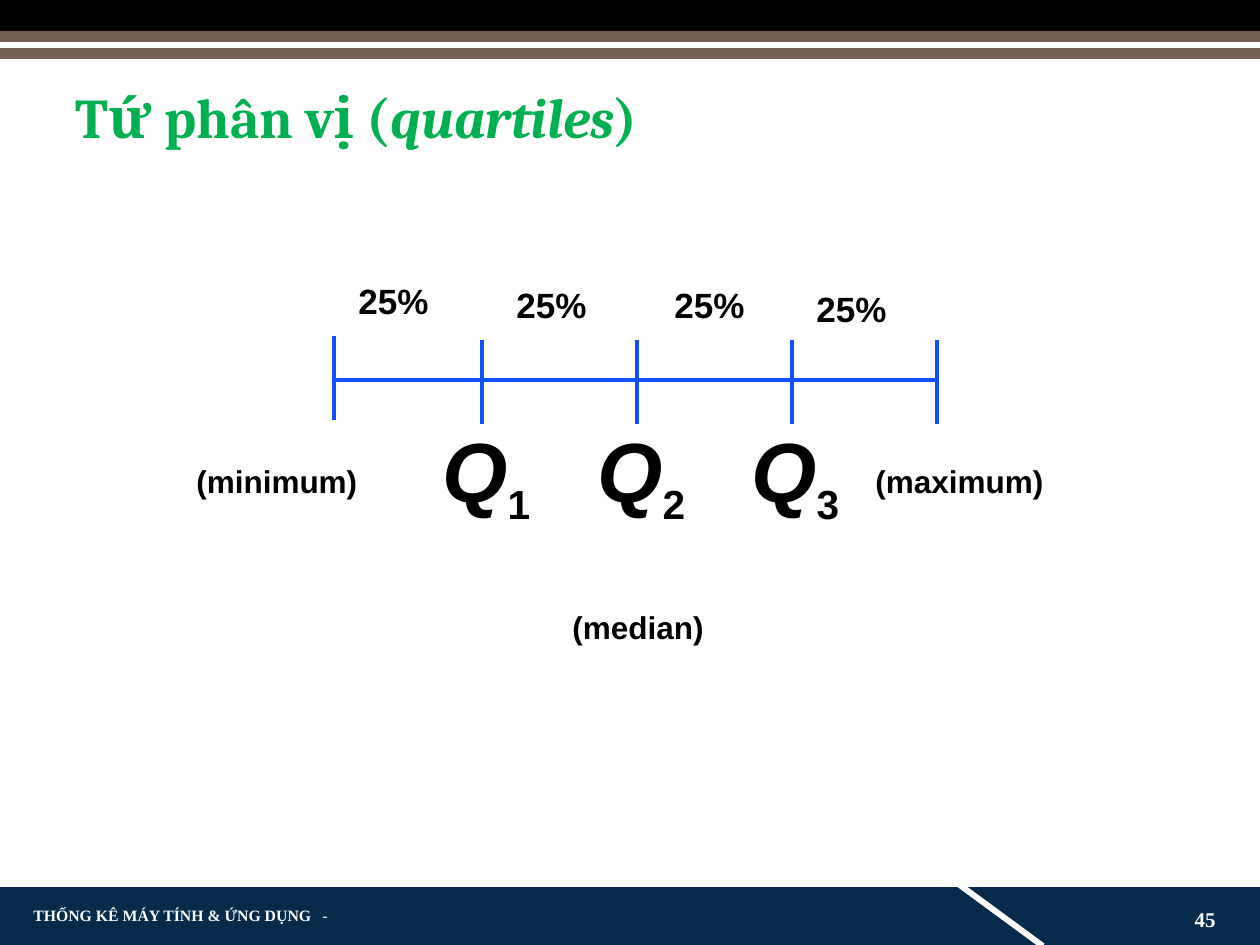
from dataclasses import dataclass

from lxml import etree
from pptx import Presentation
from pptx.dml.color import RGBColor
from pptx.enum.shapes import MSO_CONNECTOR, MSO_SHAPE
from pptx.enum.text import MSO_ANCHOR, MSO_AUTO_SIZE, PP_ALIGN
from pptx.oxml.ns import qn
from pptx.util import Emu, Pt

RECTANGLE = MSO_SHAPE.RECTANGLE
STRAIGHT = MSO_CONNECTOR.STRAIGHT
TOP, MIDDLE = MSO_ANCHOR.TOP, MSO_ANCHOR.MIDDLE
LEFT, RIGHT = PP_ALIGN.LEFT, PP_ALIGN.RIGHT
NO_AUTOFIT = MSO_AUTO_SIZE.NONE
PX_PER_INCH = 126


@dataclass(frozen=True)
class Theme:
    black: str = "000000"
    white: str = "FFFFFF"
    brown: str = "775F55"
    navy: str = "052A4B"
    green: str = "00B050"
    blue: str = "114FFB"
    heading: str = "Cambria"
    body: str = "Arial"
    footer: str = "Times New Roman"
    title_size: int = 32
    quartile_size: int = 48
    subscript_size: int = 40
    percent_size: int = 20
    caption_size: int = 18
    number_size: int = 12
    footer_size: int = 9
    line_width: int = 2


@dataclass(frozen=True)
class Frame:
    left: int
    top: int
    width: int
    height: int


@dataclass(frozen=True)
class Band:
    frame: Frame
    color: str
    rotation: float = 0


@dataclass(frozen=True)
class Label:
    text: str
    frame: Frame


THEME = Theme()
BANDS = (
    Band(Frame(0, 887, 1260, 58), THEME.navy),
    Band(Frame(948, 912, 105, 6), THEME.white, 36.3),
    Band(Frame(0, 0, 1260, 31), THEME.black),
    Band(Frame(0, 31, 1260, 28), THEME.brown),
    Band(Frame(0, 42, 1260, 6), THEME.white),
)
AXIS_Y = 380
TICK_HEIGHT = 84
TICKS = ((334, 336), (482, 340), (637, 340), (792, 340), (937, 340))
PERCENT_CORNERS = ((346, 273), (504, 277), (662, 277), (804, 281))
QUARTILE_LEFTS = (430, 585, 739)
CAPTIONS = (
    Label("(minimum)", Frame(184, 460, 231, 77)),
    Label("(maximum)", Frame(863, 460, 239, 77)),
    Label("(median)", Frame(560, 606, 194, 77)),
)


def px(length: int) -> Emu:
    return Emu(round(length * 914400 / PX_PER_INCH))


def place(shape, frame: Frame) -> None:
    shape.left, shape.top = px(frame.left), px(frame.top)
    shape.width, shape.height = px(frame.width), px(frame.height)


def draw_band(page, band: Band) -> None:
    shape = page.shapes.add_shape(RECTANGLE, 0, 0, 0, 0)
    place(shape, band.frame)
    shape.shadow.inherit = False
    shape.fill.solid()
    shape.fill.fore_color.rgb = RGBColor.from_string(band.color)
    shape.line.fill.background()
    shape.rotation = band.rotation


def draw_line(page, start: tuple[int, int], end: tuple[int, int]) -> None:
    line = page.shapes.add_connector(STRAIGHT, *map(px, start + end))
    line.line.color.rgb = RGBColor.from_string(THEME.blue)
    line.line.width = Pt(THEME.line_width)
    etree.SubElement(line._element.spPr, qn("a:effectLst"))


def add_span(para, text: str, *, size: int, font: str = THEME.body,
             color: str = THEME.black, bold: bool = True,
             italic: bool = False, baseline: int = 0) -> None:
    span = para.add_run()
    span.text = text
    span.font.size = Pt(size)
    span.font.name = font
    span.font.color.rgb = RGBColor.from_string(color)
    span.font.bold = bold
    span.font.italic = italic
    if baseline:
        span._r.get_or_add_rPr().set("baseline", str(baseline * 1000))


def start_text(box, frame: Frame, *, anchor=TOP, align=LEFT,
               line_spacing: float = 1.0, space_before: int = 0):
    place(box, frame)
    box.text_frame.word_wrap = True
    box.text_frame.auto_size = NO_AUTOFIT
    box.text_frame.vertical_anchor = anchor
    para = box.text_frame.paragraphs[0]
    para.alignment = align
    para.line_spacing = line_spacing
    para.space_before = Pt(space_before)
    return para


def add_box(page, frame: Frame, **layout):
    return start_text(page.shapes.add_textbox(0, 0, 0, 0), frame, **layout)


def add_tab_stop(para, position: int) -> None:
    stops = etree.SubElement(para._p.get_or_add_pPr(), qn("a:tabLst"))
    etree.SubElement(stops, qn("a:tab"), pos=str(px(position)), algn="l")


def draw_title(page) -> None:
    para = start_text(page.shapes.title, Frame(63, 84, 1140, 129), line_spacing=0.9)
    for text, italic in (("Tứ phân vị (", False), ("quartiles", True), (")", False)):
        add_span(para, text, size=THEME.title_size, font=THEME.heading,
                 color=THEME.green, italic=italic)


def draw_footer(page) -> None:
    para = add_box(page, Frame(21, 903, 325, 25), anchor=MIDDLE)
    add_tab_stop(para, 289)
    for text, bold in (("THỐNG KÊ MÁY TÍNH & ỨNG DỤNG\t", True), ("-", False)):
        add_span(para, text, size=THEME.footer_size, font=THEME.footer,
                 color=THEME.white, bold=bold)
    para = add_box(page, Frame(1131, 903, 97, 32), anchor=MIDDLE, align=RIGHT)
    add_span(para, "45", size=THEME.number_size, font=THEME.footer, color=THEME.white)


def draw_scale(page) -> None:
    draw_line(page, (TICKS[0][0] + 2, AXIS_Y), (TICKS[-1][0] - 2, AXIS_Y))
    for left, top in TICKS:
        draw_line(page, (left, top), (left, top + TICK_HEIGHT))
    for left, top in PERCENT_CORNERS:
        para = add_box(page, Frame(left, top, 117, 89))
        add_span(para, "25%", size=THEME.percent_size)
    for number, left in enumerate(QUARTILE_LEFTS, start=1):
        para = add_box(page, Frame(left, 412, 144, 184), space_before=5)
        add_span(para, "Q", size=THEME.quartile_size, italic=True)
        add_span(para, str(number), size=THEME.subscript_size, baseline=-25)
    for caption in CAPTIONS:
        para = add_box(page, caption.frame, line_spacing=0.9)
        add_span(para, caption.text, size=THEME.caption_size)


def main() -> None:
    deck = Presentation()
    deck.slide_width, deck.slide_height = px(1260), px(945)
    page = deck.slides.add_slide(deck.slide_layouts[5])
    for band in BANDS:
        draw_band(page, band)
    draw_title(page)
    draw_footer(page)
    draw_scale(page)
    deck.save("out.pptx")


if __name__ == "__main__":
    main()
